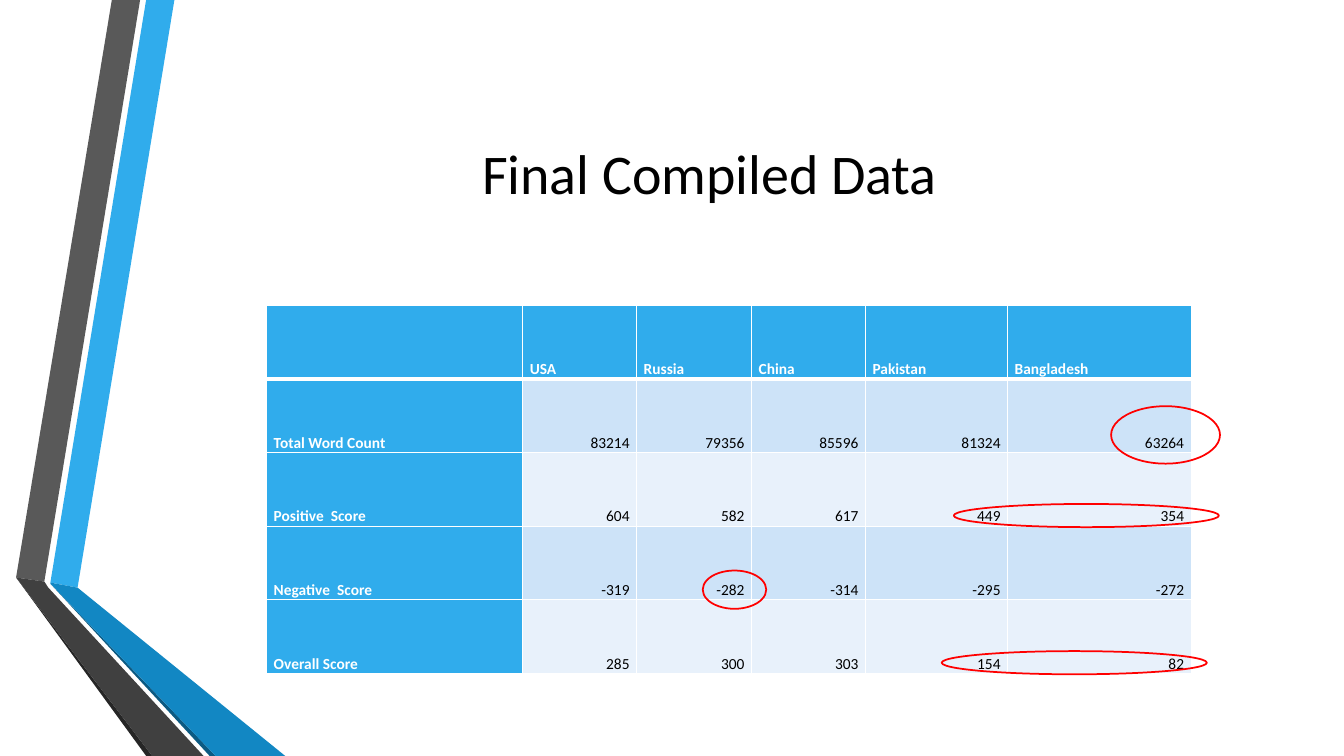
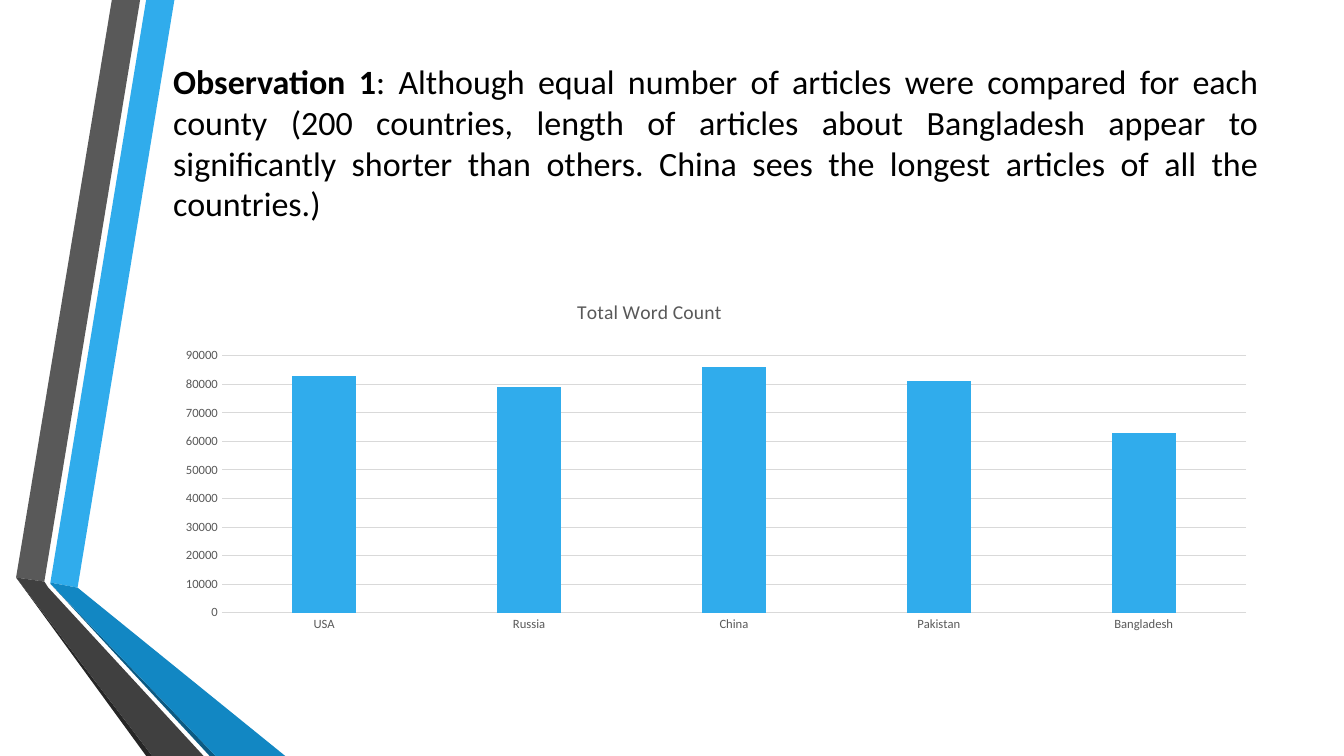
from dataclasses import dataclass

from lxml import etree
from pptx import Presentation
from pptx.chart.data import CategoryChartData
from pptx.dml.color import RGBColor as RGB
from pptx.enum.chart import XL_CHART_TYPE as ChartType, XL_TICK_MARK as Tick
from pptx.enum.shapes import MSO_SHAPE as Shape
from pptx.enum.text import MSO_ANCHOR as Anchor, PP_ALIGN as Align
from pptx.oxml import parse_xml
from pptx.oxml.ns import nsdecls, qn
from pptx.util import Inches, Pt


@dataclass(frozen=True)
class Theme:
    """Colours, font and type sizes shared by the slides."""
    font: str = "Calibri"
    accent: RGB = RGB(0x30, 0xAC, 0xEC)
    accent_dark: RGB = RGB(0x12, 0x87, 0xC3)
    accent_deep: RGB = RGB(0x0C, 0x5A, 0x82)
    grey: RGB = RGB(0x59, 0x59, 0x59)
    grey_dark: RGB = RGB(0x40, 0x40, 0x40)
    grey_deep: RGB = RGB(0x26, 0x26, 0x26)
    grid: RGB = RGB(0xD9, 0xD9, 0xD9)
    row_odd: RGB = RGB(0xCD, 0xE3, 0xF8)
    row_even: RGB = RGB(0xE8, 0xF1, 0xFB)
    mark: RGB = RGB(0xFF, 0, 0)
    black: RGB = RGB(0, 0, 0)
    white: RGB = RGB(0xFF, 0xFF, 0xFF)
    title_size: float = 40
    observation_size: float = 24.3
    table_size: float = 11
    chart_title_size: float = 14
    chart_size: float = 10
    axis_size: float = 9


THEME = Theme()
BANDS = [
    (THEME.accent, [(0.5, 5.78), (0.77, 5.83), (1.73, 0), (1.45, 0)]),
    (THEME.grey, [(1.39, 0), (1.11, 0), (0.16, 5.73), (0.44, 5.77)]),
    (THEME.grey_deep, [(0.16, 5.73), (1.45, 7.5), (1.51, 7.5)]),
    (THEME.accent_deep, [(0.5, 5.79), (2.08, 7.5), (2.14, 7.5)]),
    (THEME.accent_dark, [(0.5, 5.78), (0.5, 5.79), (2.14, 7.5), (2.83, 7.5), (0.77, 5.83)]),
    (THEME.grey_dark, [(2.02, 7.5), (0.48, 5.83), (0.44, 5.77), (0.16, 5.73), (1.51, 7.5)]),
]
COUNTRIES = ["USA", "Russia", "China", "Pakistan", "Bangladesh"]
SCORES = {
    "Total Word Count": [83214, 79356, 85596, 81324, 63264],
    "Positive  Score": [604, 582, 617, 449, 354],
    "Negative  Score": [-319, -282, -314, -295, -272],
    "Overall Score": [285, 300, 303, 154, 82],
}


def write(frame, *runs, size, color=THEME.black, bold=False, align=Align.LEFT,
          anchor=Anchor.MIDDLE, spacing=None):
    """Fill a text frame with one paragraph; bold covers the first run only."""
    frame.word_wrap = True
    frame.vertical_anchor = anchor
    paragraph = frame.paragraphs[0]
    paragraph.alignment = align
    paragraph.line_spacing = spacing
    for position, text in enumerate(runs):
        run = paragraph.add_run()
        run.text = text
        run.font.name = THEME.font
        run.font.size = Pt(size)
        run.font.bold = bold and position == 0
        run.font.color.rgb = color


def add_banded_slide(deck):
    """Add a slide with the folded bands; return it and its title frame."""
    slide = deck.slides.add_slide(deck.slide_layouts[6])
    for color, corners in BANDS:
        points = [(Inches(x), Inches(y)) for x, y in corners]
        outline = slide.shapes.build_freeform(*points[0])
        outline.add_line_segments(points[1:], close=True)
        band = outline.convert_to_shape()
        band.shadow.inherit = False
        band.fill.solid()
        band.fill.fore_color.rgb = color
        band.line.fill.background()
    title = slide.shapes.add_textbox(Inches(1.62), Inches(0.75), Inches(10.96), Inches(1.92))
    return slide, title.text_frame


deck = Presentation()
deck.slide_width, deck.slide_height = Inches(13.33), Inches(7.5)

# Compiled data table
data_slide, heading = add_banded_slide(deck)
write(heading, "Final Compiled Data ", size=THEME.title_size, align=Align.CENTER)

rows = [["", *COUNTRIES]] + [[label, *values] for label, values in SCORES.items()]
score_table = data_slide.shapes.add_table(
    len(rows), len(rows[0]), Inches(2.645), Inches(3.03), Inches(9.17), Inches(3.65)).table
for column, width in zip(score_table.columns, [2.54, 1.13, 1.14, 1.13, 1.41, 1.82]):
    column.width = Inches(width)

for r, row in enumerate(rows):
    score_table.rows[r].height = Inches(0.73)
    for c, value in enumerate(row):
        cell = score_table.cell(r, c)
        is_label = r == 0 or c == 0
        cell.margin_left = cell.margin_right = Inches(0.07)
        cell.margin_top = cell.margin_bottom = 0
        cell.vertical_anchor = Anchor.BOTTOM
        borders = {"lnL": 1, "lnR": 1, "lnT": 3 if r == 1 else 1, "lnB": 3 if r == 0 else 1}
        for side, points in borders.items():
            cell._tc.get_or_add_tcPr().append(parse_xml(
                f'<a:{side} {nsdecls("a")} w="{Pt(points)}"><a:solidFill>'
                f'<a:srgbClr val="{THEME.white}"/></a:solidFill></a:{side}>'))
        cell.fill.solid()
        cell.fill.fore_color.rgb = (
            THEME.accent if is_label else THEME.row_odd if r % 2 else THEME.row_even)
        write(cell.text_frame, str(value), size=THEME.table_size, bold=is_label,
              color=THEME.white if is_label else THEME.black, anchor=Anchor.BOTTOM,
              align=Align.LEFT if is_label else Align.RIGHT, spacing=1.5)

for highlight in [(11.02, 4.03, 1.08, 0.57), (9.46, 5, 2.63, 0.23),
                  (9.34, 6.46, 2.63, 0.23), (6.97, 5.66, 0.63, 0.38)]:
    ring = data_slide.shapes.add_shape(Shape.OVAL, *map(Inches, highlight))
    ring.shadow.inherit = False
    ring.fill.background()
    ring.line.color.rgb = THEME.mark
    ring.line.width = Pt(1.25)

# Word count observation
count_slide, observation = add_banded_slide(deck)
observation.margin_bottom = Inches(0.65)
write(observation, "Observation 1",
      ": Although equal number of articles were compared for each county (200 countries, "
      "length of articles about Bangladesh appear to significantly shorter than others. "
      "China sees the longest articles of all the countries.)",
      size=THEME.observation_size, bold=True, align=Align.JUSTIFY)

word_counts = CategoryChartData()
word_counts.categories = COUNTRIES
word_counts.add_series("Total Word Count",
                       [round(count, -3) for count in SCORES["Total Word Count"]])
left, top, width, height = 1.62, 2.92, 10.96, 3.42
chart = count_slide.shapes.add_chart(
    ChartType.COLUMN_CLUSTERED, Inches(left), Inches(top), Inches(width), Inches(height),
    word_counts).chart
chart.font.name = THEME.font
chart.font.size = Pt(THEME.chart_size)
chart.font.color.rgb = THEME.black
chart.has_legend = False
write(chart.chart_title.text_frame, "Total Word Count", size=THEME.chart_title_size,
      color=THEME.grey, align=Align.CENTER)

columns = chart.plots[0]
columns.vary_by_categories = False
columns.gap_width, columns.overlap = 219, -27
columns.series[0].format.fill.solid()
columns.series[0].format.fill.fore_color.rgb = THEME.accent

counts, countries = chart.value_axis, chart.category_axis
for axis in (counts, countries):
    axis.major_tick_mark = axis.minor_tick_mark = Tick.NONE
    axis.tick_labels.font.name = THEME.font
    axis.tick_labels.font.size = Pt(THEME.axis_size)
    axis.tick_labels.font.color.rgb = THEME.grey
counts.minimum_scale, counts.maximum_scale, counts.major_unit = 0, 90000, 10000
counts.format.line.fill.background()
for rule in (counts.major_gridlines.format.line, countries.format.line):
    rule.color.rgb = THEME.grid
    rule.width = Pt(0.75)

# Fixed places of the chart title and the plot, turned into shares of the chart
title_xml = chart.chart_title._element
plot_xml = chart._chartSpace.chart.plotArea
title_place = {"x": (5.69 - left) / width, "y": 0}
plot_place = {"x": (2.2 - left) / width, "y": (3.53 - top) / height,
              "w": 10.16 / width, "h": 2.55 / height}
for part, place in [(title_xml, title_place), (plot_xml, plot_place)]:
    for automatic in part.findall(qn("c:layout")):
        part.remove(automatic)
    layout = parse_xml(f'<c:layout {nsdecls("c")}><c:manualLayout/></c:layout>')
    settings = {"xMode": "edge", "yMode": "edge", **place}
    if part is plot_xml:
        settings = {"layoutTarget": "inner", **settings}
    for key, value in settings.items():
        etree.SubElement(layout[0], qn(f"c:{key}"), val=str(value))
    part.insert(1 if part is title_xml else 0, layout)

deck.save("out.pptx")
